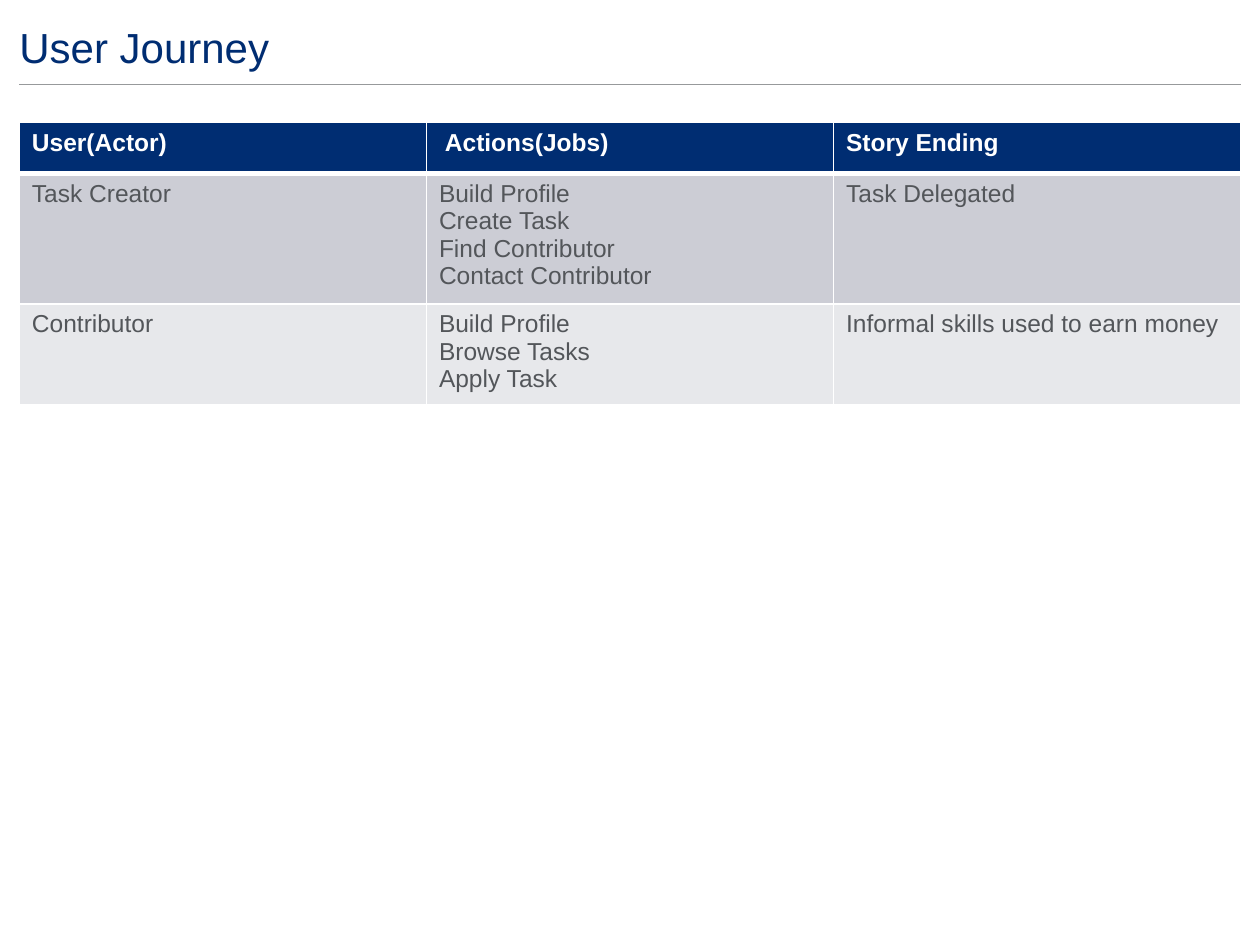
"""Build the User Journey slide: a ruled title above a table of actors, jobs and endings."""
from dataclasses import dataclass

from lxml import etree
from pptx import Presentation
from pptx.dml.color import RGBColor
from pptx.enum.shapes import MSO_CONNECTOR
from pptx.enum.text import MSO_ANCHOR, MSO_AUTO_SIZE, PP_ALIGN
from pptx.oxml.ns import qn
from pptx.util import Cm, Pt

STRAIGHT = MSO_CONNECTOR.STRAIGHT
MIDDLE = MSO_ANCHOR.MIDDLE
TOP = MSO_ANCHOR.TOP
LEFT = PP_ALIGN.LEFT
GROW = MSO_AUTO_SIZE.SHAPE_TO_FIT_TEXT


@dataclass(frozen=True)
class Theme:
    font: str = "Arial"
    navy: str = "002D72"
    white: str = "FFFFFF"
    gray: str = "53565A"
    rule: str = "97999B"
    bands: tuple[str, str] = ("CCCDD5", "E7E8EB")
    title_size: int = 24
    table_size: int = 14


@dataclass(frozen=True)
class JourneyRow:
    cells: tuple[str, str, str]
    height: float
    fill: str
    color: str
    bold: bool = False
    top_border: int = 1
    bottom_border: int = 1


THEME = Theme()
MARGIN = 0.39
CONTENT_WIDTH = 24.62
RULE_Y = 1.7
TABLE_TOP = 2.47
JOURNEY = (
    JourneyRow(("User(Actor)", " Actions(Jobs)", "Story Ending"),
               1.03, THEME.navy, THEME.white, bold=True, bottom_border=3),
    JourneyRow(("Task Creator",
                "Build Profile\nCreate Task\nFind Contributor\nContact Contributor",
                "Task Delegated"),
               2.46, THEME.bands[0], THEME.gray, top_border=3),
    JourneyRow(("Contributor", "Build Profile\nBrowse Tasks\nApply Task",
                "Informal skills used to earn money"),
               1.92, THEME.bands[1], THEME.gray),
)


def apply_format(target, values: dict) -> None:
    """Set each named value on the target."""
    for name, value in values.items():
        setattr(target, name, value)


def write_text(frame, text: str, size: int, color: str, bold: bool = False) -> None:
    """Write left-aligned paragraphs, one for each line of text."""
    frame.text = text
    for paragraph in frame.paragraphs:
        paragraph.alignment = LEFT
        for run in paragraph.runs:
            apply_format(run.font, {"name": THEME.font, "size": Pt(size), "bold": bold})
            run.font.color.rgb = RGBColor.from_string(color)


def add_title(slide, text: str) -> None:
    """Place and format the title placeholder."""
    title = slide.shapes.title
    apply_format(title, {"left": Cm(MARGIN), "top": Cm(0.43),
                         "width": Cm(CONTENT_WIDTH), "height": Cm(1.04)})
    title.fill.solid()
    title.fill.fore_color.rgb = RGBColor.from_string(THEME.white)
    title.line.color.rgb = RGBColor.from_string(THEME.white)
    title.line.width = Pt(1)
    insets = dict.fromkeys(
        ("margin_left", "margin_top", "margin_right", "margin_bottom"), 0)
    apply_format(title.text_frame, {**insets, "word_wrap": True,
                                    "vertical_anchor": MIDDLE, "auto_size": GROW})
    write_text(title.text_frame, text, THEME.title_size, THEME.navy)


def add_rule(slide) -> None:
    """Draw the thin rule below the title."""
    rule = slide.shapes.add_connector(
        STRAIGHT, Cm(MARGIN), Cm(RULE_Y), Cm(MARGIN + CONTENT_WIDTH), Cm(RULE_Y))
    rule.line.color.rgb = RGBColor.from_string(THEME.rule)
    rule.line.width = Pt(0.5)
    etree.SubElement(rule._element.spPr, qn("a:effectLst"))


def add_borders(cell, widths: dict[str, int]) -> None:
    """Give the cell a white border on each named side."""
    properties = cell._tc.get_or_add_tcPr()
    for side, width in widths.items():
        border = etree.SubElement(properties, qn(f"a:ln{side}"), w=str(Pt(width)))
        fill = etree.SubElement(border, qn("a:solidFill"))
        etree.SubElement(fill, qn("a:srgbClr"), val=THEME.white)


def add_journey_table(slide, journey: tuple[JourneyRow, ...]) -> None:
    """Draw the table with equal columns."""
    column_count = len(journey[0].cells)
    table = slide.shapes.add_table(
        len(journey), column_count, Cm(MARGIN), Cm(TABLE_TOP),
        Cm(CONTENT_WIDTH), Cm(sum(row.height for row in journey))).table
    for column in table.columns:
        column.width = Cm(CONTENT_WIDTH / column_count)
    for row_index, row in enumerate(journey):
        table.rows[row_index].height = Cm(row.height)
        for column_index, text in enumerate(row.cells):
            cell = table.cell(row_index, column_index)
            add_borders(cell, {"L": 1, "R": 1, "T": row.top_border, "B": row.bottom_border})
            cell.fill.solid()
            cell.fill.fore_color.rgb = RGBColor.from_string(row.fill)
            cell.vertical_anchor = TOP
            write_text(cell.text_frame, text, THEME.table_size, row.color, row.bold)


def main() -> None:
    """Build and save the slide."""
    presentation = Presentation()
    apply_format(presentation, {"slide_width": Cm(25.4), "slide_height": Cm(19.05)})
    slide = presentation.slides.add_slide(presentation.slide_layouts[5])
    add_rule(slide)
    add_title(slide, "User Journey")
    add_journey_table(slide, JOURNEY)
    presentation.save("out.pptx")


if __name__ == "__main__":
    main()
